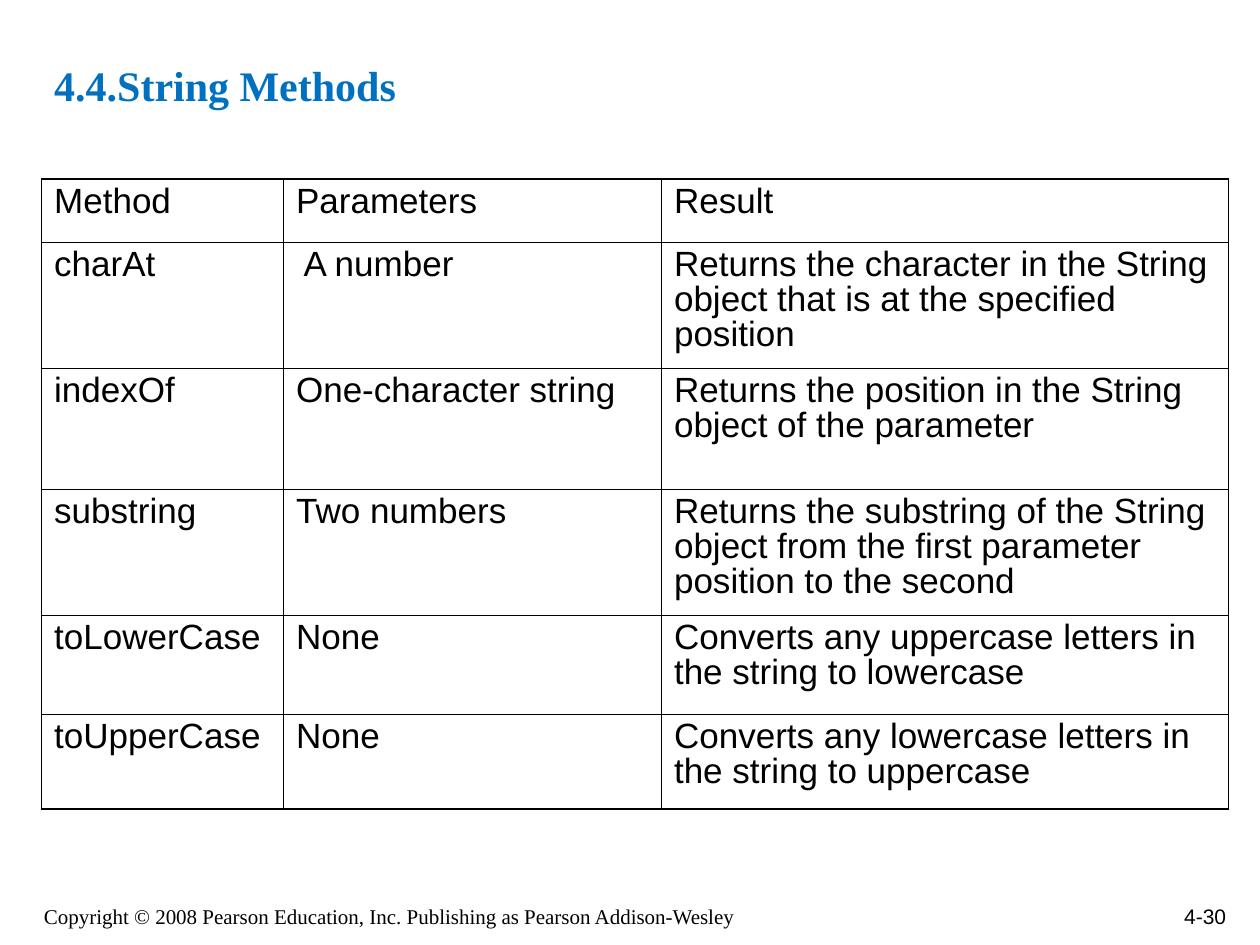
from lxml.etree import SubElement
from pptx import Presentation
from pptx.dml.color import RGBColor
from pptx.enum.text import MSO_ANCHOR, MSO_AUTO_SIZE, PP_ALIGN
from pptx.oxml.ns import qn
from pptx.util import Inches, Pt

COLORS = {"title": "0070C0", "text": "000000", "border": "000000"}
TITLE = "4.4.String Methods"
COPYRIGHT = "Copyright © 2008 Pearson Education, Inc. Publishing as Pearson Addison-Wesley"
PAGE_NUMBER = "4-30"
METHODS = [
    ("Method", "Parameters", "Result"),
    ("charAt", "A number",
     "Returns the character in the String object that is at the specified position"),
    ("indexOf", "One-character string",
     "Returns the position in the String object of the parameter"),
    ("substring", "Two numbers",
     "Returns the substring of the String object from the first parameter position to the second"),
    ("toLowerCase", "None",
     "Converts any uppercase letters in the string to lowercase"),
    ("toUpperCase", "None",
     "Converts any lowercase letters in the string to uppercase"),
]
COLUMN_WIDTHS = [1.92, 3, 4.5]
ROW_HEIGHTS = [0.5, 1, 0.96, 1, 0.79, 0.75]
INDENTED_CELL = (1, 1)
OUTER_LINE, INNER_LINE = 1.08, 0.45


def write(frame, text, font, size, color, bold=False):
    frame.text = text
    para = frame.paragraphs[0]
    for span in para.runs:
        span.font.name = font
        span.font.size = Pt(size)
        span.font.bold = bold
        span.font.color.rgb = RGBColor.from_string(color)
    return para


def add_footer(page, place, text, font, align):
    box = page.shapes.add_textbox(*map(Inches, place))
    box.text_frame.word_wrap = True
    box.text_frame.vertical_anchor = MSO_ANCHOR.BOTTOM
    write(box.text_frame, text, font, 12, COLORS["text"]).alignment = align


def set_borders(cell, widths):
    properties = cell._tc.get_or_add_tcPr()
    for index, (side, width) in enumerate(widths.items()):
        line = properties.makeelement(qn(f"a:ln{side}"), {"w": str(Pt(width))})
        fill = SubElement(line, qn("a:solidFill"))
        SubElement(fill, qn("a:srgbClr"), val=COLORS["border"])
        properties.insert(index, line)


def add_methods_table(page):
    rows, columns = len(ROW_HEIGHTS), len(COLUMN_WIDTHS)
    place = (0.33, 1.42, sum(COLUMN_WIDTHS), sum(ROW_HEIGHTS))
    table = page.shapes.add_table(rows, columns, *map(Inches, place)).table
    table.first_row = table.horz_banding = False
    for column, width in zip(table.columns, COLUMN_WIDTHS):
        column.width = Inches(width)
    for r, (height, texts) in enumerate(zip(ROW_HEIGHTS, METHODS)):
        table.rows[r].height = Inches(height)
        for c, text in enumerate(texts):
            cell = table.cell(r, c)
            cell.fill.background()
            cell.margin_left = Inches(0.16 if (r, c) == INDENTED_CELL else 0.1)
            para = write(cell.text_frame, text, "Arial", 20, COLORS["text"])
            para.line_spacing = 0.9
            at_edge = {"L": c == 0, "R": c == columns - 1, "T": r == 0, "B": r == rows - 1}
            set_borders(cell, {side: OUTER_LINE if outer else INNER_LINE
                               for side, outer in at_edge.items()})


def main():
    """Build the slide that lists the String methods."""
    deck = Presentation()
    deck.slide_width, deck.slide_height = Inches(10), Inches(7.5)
    page = deck.slides.add_slide(deck.slide_layouts[5])

    title = page.shapes.title
    title.left, title.top, title.width, title.height = map(Inches, (0.33, 0.33, 9.42, 0.59))
    title.text_frame.auto_size = MSO_AUTO_SIZE.NONE
    title.text_frame.vertical_anchor = MSO_ANCHOR.BOTTOM
    para = write(title.text_frame, TITLE, "Times New Roman", 24, COLORS["title"], True)
    para.alignment = PP_ALIGN.LEFT

    add_methods_table(page)
    add_footer(page, (0.25, 7, 6.08, 0.42), COPYRIGHT, "Times New Roman", PP_ALIGN.LEFT)
    add_footer(page, (7.75, 6.92, 2.08, 0.5), PAGE_NUMBER, "Arial", PP_ALIGN.RIGHT)
    deck.save("out.pptx")


if __name__ == "__main__":
    main()
